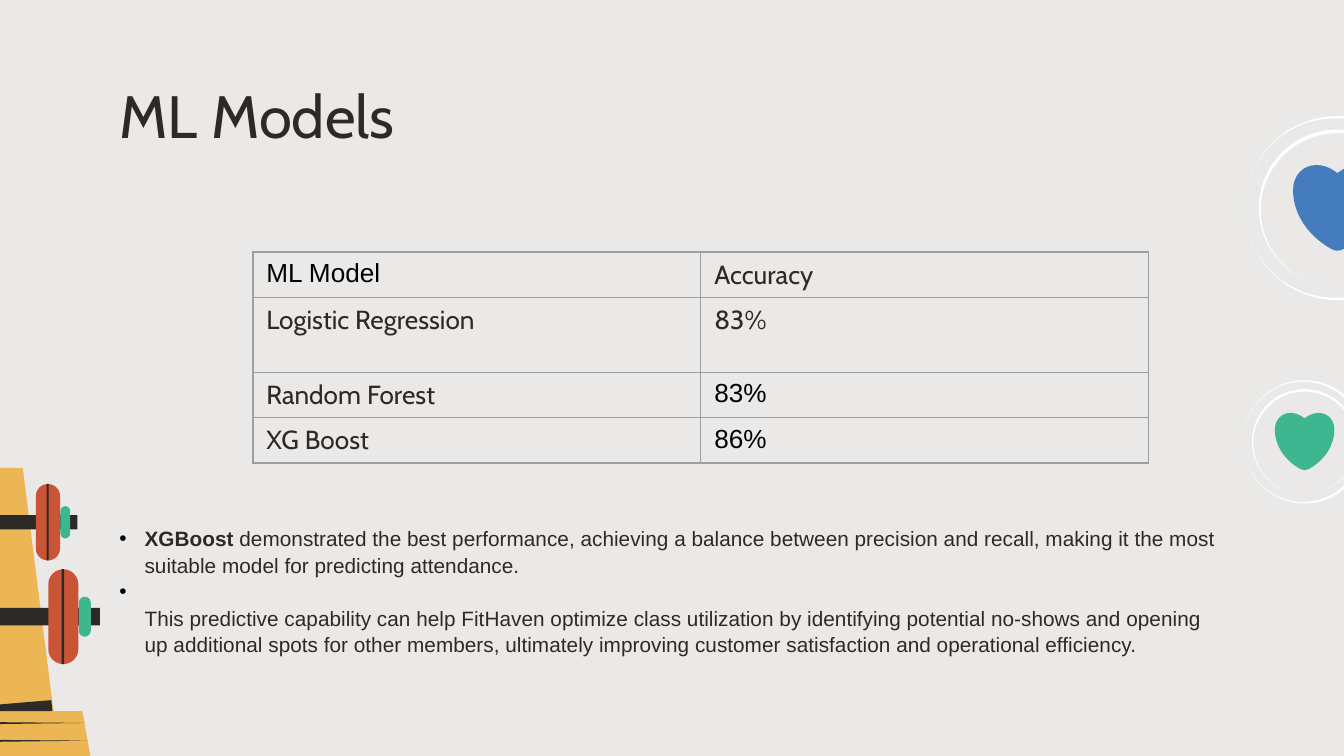
from lxml import etree
from pptx import Presentation
from pptx import util as u
from pptx.dml.color import RGBColor
from pptx.enum import shapes, text
from pptx.oxml import parse_xml
from pptx.oxml.ns import nsdecls, qn

COLORS = {
    "paper": "EAE9E8", "ink": "2C2A26", "black": "000000", "white": "FFFFFF",
    "blue": "457CBD", "green": "3EB690", "red": "CA5436", "wood": "ECB654",
    "rule": "9E9E9E",
}
RECT = shapes.MSO_SHAPE.RECTANGLE
PILL = shapes.MSO_SHAPE.ROUNDED_RECTANGLE

CABIN = {"name": "Cabin", "size": 14, "color": "ink"}
ARIAL = {"name": "Arial", "size": 14, "color": "black"}
BODY = {"name": "Arial", "size": 11.1, "color": "ink"}

# Left half of a heart as cubic curves around its centre, from tip to notch
HALF_HEART = [
    (0, 22.8), (-1.3, 22.8), (-2.5, 22.4), (-3.6, 21.7),
    (-16.5, 14.3), (-23.8, 2.5), (-23.8, -9.7),
    (-23.8, -17.5), (-18.5, -23.1), (-11.2, -23.1),
    (-4.8, -23.1), (0, -18.7), (0, -18.7),
]

MODELS = [
    [("ML Model", ARIAL), ("Accuracy", CABIN)],
    [("Logistic Regression", CABIN), ("83%", CABIN)],
    [("Random Forest", CABIN), ("83%", ARIAL)],
    [("XG Boost", CABIN), ("86%", ARIAL)],
]

FINDINGS = [
    [("XGBoost", True),
     (" demonstrated the best performance, achieving a balance between precision "
      "and recall, making it the most suitable model for predicting attendance.", False)],
    [("\n", False),
     ("This predictive capability can help FitHaven optimize class utilization by "
      "identifying potential no-shows and opening up additional spots for other "
      "members, ultimately improving customer satisfaction and operational "
      "efficiency.", False)],
]


def circle(cx, cy, radius, turn=1):
    """Return a circle as four cubic curves; turn -1 runs it backwards."""
    quarter = [(1, 0), (1, 0.55), (0.55, 1)]
    points = []
    for _ in range(4):
        points += quarter
        quarter = [(-y, x) for x, y in quarter]
    points.append(points[0])
    return [(cx + radius * x, cy + radius * turn * y) for x, y in points]


class Deck:
    """Holds the style and the current slide; all lengths are points."""

    def __init__(self, width, height):
        self.prs = Presentation()
        self.prs.slide_width, self.prs.slide_height = u.Pt(width), u.Pt(height)
        self.s = self.prs.slides.add_slide(self.prs.slide_layouts[5])
        self.paint(self.s.background.fill, "paper")

    def paint(self, fill, color):
        fill.solid()
        fill.fore_color.rgb = RGBColor.from_string(COLORS[color])

    def finish(self, sp, color):
        self.paint(sp.fill, color)
        sp.line.fill.background()
        sp.shadow.inherit = False

    def frame(self, sp):
        tf = sp.text_frame
        settings = {"word_wrap": True, "auto_size": text.MSO_AUTO_SIZE.NONE,
                    "vertical_anchor": text.MSO_ANCHOR.TOP}
        for side in ("left", "right", "top", "bottom"):
            settings["margin_" + side] = u.Pt(7.2)
        for key, value in settings.items():
            setattr(tf, key, value)
        return tf

    def run(self, p, words, style, bold=False):
        r = p.add_run()
        r.text = words
        values = {"name": style["name"], "size": u.Pt(style["size"]), "bold": bold}
        for key, value in values.items():
            setattr(r.font, key, value)
        r.font.color.rgb = RGBColor.from_string(COLORS[style["color"]])

    def shape(self, kind, left, top, width, height, color):
        sp = self.s.shapes.add_shape(kind, *map(u.Pt, (left, top, width, height)))
        if kind == PILL:
            sp.adjustments[0] = 0.5
        self.finish(sp, color)

    def outline(self, contours, color):
        builder = None
        for contour in contours:
            start, *rest = [(u.Pt(x), u.Pt(y)) for x, y in contour]
            if builder is None:
                builder = self.s.shapes.build_freeform(*start)
            else:
                builder.move_to(*start)
            builder.add_line_segments(rest, close=True)
        sp = builder.convert_to_shape()
        self.finish(sp, color)
        return sp

    def curved(self, contours, color):
        """Draw an outline whose points, three by three, form cubic curves."""
        lines = list(self.outline(contours, color)._element.iter(qn("a:lnTo")))
        for first, second, third in zip(lines[::3], lines[1::3], lines[2::3]):
            first.tag = qn("a:cubicBezTo")
            for line in (second, third):
                first.append(line[0])
                line.getparent().remove(line)

    def heart_badge(self, cx, cy, scale, color):
        """Draw a heart inside two rings of uneven thickness."""
        heart = HALF_HEART + [(-x, y) for x, y in HALF_HEART[-2::-1]]
        self.curved([[(cx + scale * x, cy + scale * y) for x, y in heart]], color)
        for radius, gap, dx, dy in ((42.1, 1, 0, 1), (49.3, 1.2, -1.2, 0)):
            self.curved([circle(cx, cy, radius * scale),
                         circle(cx + dx * scale, cy + dy * scale,
                                (radius - gap) * scale, -1)], "white")

    def dumbbell(self, right, middle, scale):
        parts = [(RECT, 98, 98, 7.6, "ink"), (PILL, 22.3, 13, 41, "red"),
                 (RECT, 16.5, 1.1, 41, "ink"), (PILL, 9.1, 5.2, 17.3, "green")]
        for kind, back, width, height, color in parts:
            self.shape(kind, right - back * scale, middle - height * scale / 2,
                       width * scale, height * scale, color)

    def title(self, words, left, top, width, height):
        sp = self.s.shapes.title
        box = {"left": left, "top": top, "width": width, "height": height}
        for key, value in box.items():
            setattr(sp, key, u.Pt(value))
        p = self.frame(sp).paragraphs[0]
        p.alignment = text.PP_ALIGN.LEFT
        self.run(p, words, {**CABIN, "size": 32})

    def table(self, rows, left, top, col_width, heights):
        tbl = self.s.shapes.add_table(
            len(rows), len(rows[0]), u.Pt(left), u.Pt(top),
            u.Pt(col_width * len(rows[0])), u.Pt(sum(heights))).table
        tbl.first_row = tbl.horz_banding = False
        for col in tbl.columns:
            col.width = u.Pt(col_width)
        for i, (row, height) in enumerate(zip(rows, heights)):
            tbl.rows[i].height = u.Pt(height)
            for j, (words, style) in enumerate(row):
                cell = tbl.cell(i, j)
                self.run(cell.text_frame.paragraphs[0], words, style)
                cell.fill.background()
                self.borders(cell)

    def borders(self, cell):
        props = cell._tc.get_or_add_tcPr()
        for i, side in enumerate("LRTB"):
            props.insert(i, parse_xml(
                f'<a:ln{side} {nsdecls("a")} w="{u.Pt(0.75)}"><a:solidFill>'
                f'<a:srgbClr val="{COLORS["rule"]}"/></a:solidFill></a:ln{side}>'))

    def bullets(self, items, left, top, width, height):
        sp = self.s.shapes.add_textbox(*map(u.Pt, (left, top, width, height)))
        tf = self.frame(sp)
        for i, item in enumerate(items):
            p = tf.add_paragraph() if i else tf.paragraphs[0]
            p.line_spacing = u.Pt(14.2)
            props = p._p.get_or_add_pPr()
            props.set("marL", str(u.Pt(13.5)))
            props.set("indent", str(-u.Pt(13.5)))
            color = etree.SubElement(props, qn("a:buClr"))
            etree.SubElement(color, qn("a:srgbClr"), val=COLORS["black"])
            etree.SubElement(props, qn("a:buFont"), typeface="Arial")
            etree.SubElement(props, qn("a:buChar"), char="•")
            for words, bold in item:
                if words == "\n":
                    p.add_line_break()
                    size = str(round(BODY["size"] * 100))
                    etree.SubElement(p._p[-1], qn("a:rPr"), sz=size)
                else:
                    self.run(p, words, BODY, bold)


def main():
    deck = Deck(720, 405)
    deck.heart_badge(716.5, 111.5, 1, "blue")
    deck.heart_badge(698.9, 236.7, 0.67, "green")

    deck.outline([[(12.2, 250.6), (-46, 250.6), (-46, 405), (31.7, 405)]], "wood")
    deck.dumbbell(41.5, 279.8, 1)
    deck.dumbbell(53.5, 330.4, 1.24)
    deck.outline([[(44.2, 381), (-59, 381), (-63.4, 405), (48.4, 405)]], "wood")
    deck.outline([[(-43.2, 381), (27.5, 375.1), (28.1, 381)]], "ink")
    for right, y in ((45.4, 387.3), (46.8, 396.8)):
        deck.outline([[(right, y), (0, y + 0.6), (-60, y), (0, y - 0.4)]], "ink")

    deck.title("ML Models", 56.9, 34.9, 607, 51.1)
    deck.table(MODELS, 135.5, 135, 240, [24.2, 40.2, 24.2, 24.2])
    deck.bullets(FINDINGS, 56.9, 273.7, 607, 86)
    deck.prs.save("out.pptx")


if __name__ == "__main__":
    main()
